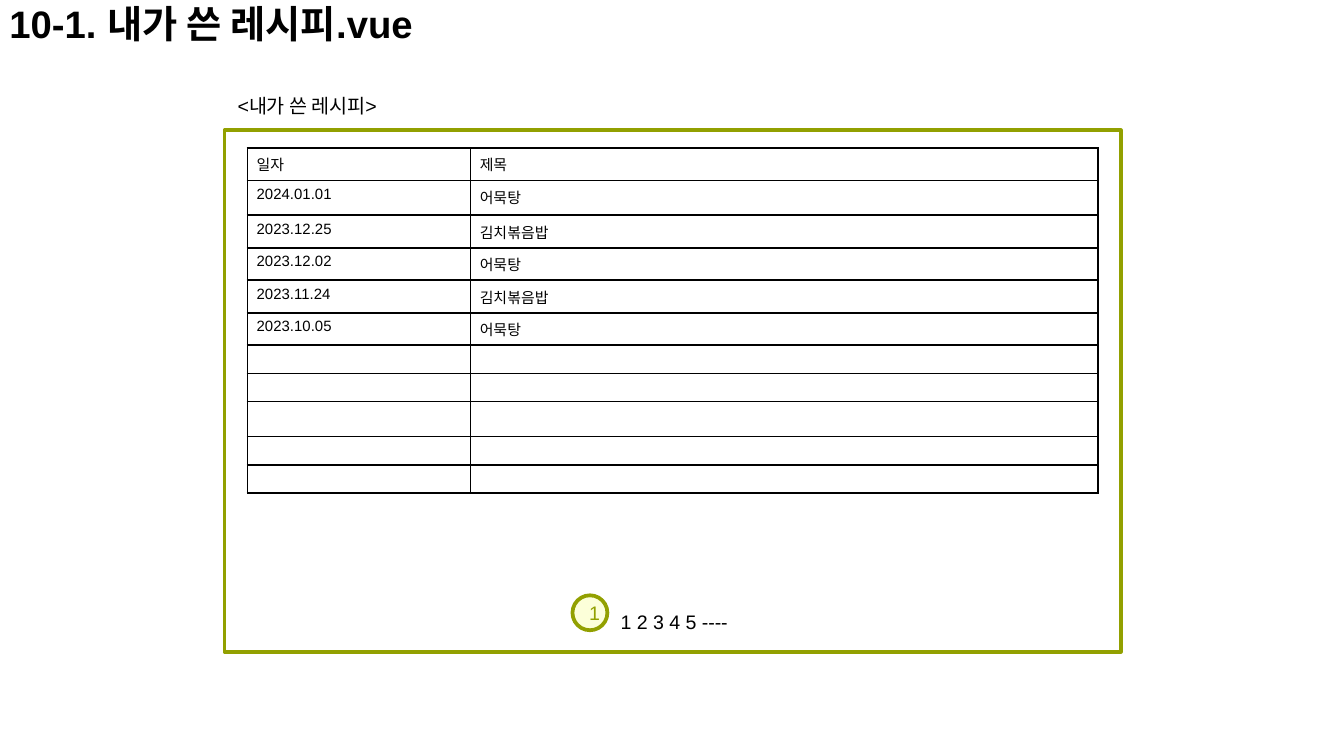
from dataclasses import dataclass

from lxml import etree
from pptx import Presentation
from pptx.dml.color import RGBColor
from pptx.enum.shapes import MSO_SHAPE
from pptx.enum.text import MSO_ANCHOR, PP_ALIGN
from pptx.oxml.ns import qn
from pptx.util import Pt

RECTANGLE = MSO_SHAPE.RECTANGLE
OVAL = MSO_SHAPE.OVAL
MIDDLE = MSO_ANCHOR.MIDDLE
CENTER = PP_ALIGN.CENTER

EMU_PER_PX = 4572  # 200 px to the inch


@dataclass(frozen=True)
class Theme:
    font: str = "Arial"
    ink: str = "000000"
    accent: str = "92A000"
    badge: str = "FCFFD9"
    title_size: float = 20.5
    label_size: float = 10.5
    cell_size: float = 8
    outline: float = 2
    grid_line: float = 1


THEME = Theme()

RECIPES = [
    ("일자", "제목"),
    ("2024.01.01", "어묵탕"),
    ("2023.12.25", "김치볶음밥"),
    ("2023.12.02", "어묵탕"),
    ("2023.11.24", "김치볶음밥"),
    ("2023.10.05", "어묵탕"),
]
ROW_COUNT = 11
ROW_HEIGHT = 42
TALL_ROW_HEIGHT = 52
TALL_ROWS = (1, 8)
COLUMN_WIDTHS = (332, 934)


def px(length):
    return round(length * EMU_PER_PX)


def emu_box(left, top, width, height):
    return px(left), px(top), px(width), px(height)


def style_paragraph(paragraph, size, color=THEME.ink, bold=False):
    font = paragraph.font
    font.name = THEME.font
    font.size = Pt(size)
    font.bold = bold
    font.color.rgb = RGBColor.from_string(color)


def set_margins(target, horizontal, vertical):
    target.margin_left = target.margin_right = px(horizontal)
    target.margin_top = target.margin_bottom = px(vertical)


def add_label(slide, box, text, size, bold=False, wrap=False):
    text_frame = slide.shapes.add_textbox(*emu_box(*box)).text_frame
    text_frame.word_wrap = wrap
    text_frame.text = text
    style_paragraph(text_frame.paragraphs[0], size, bold=bold)
    return text_frame


def add_outlined_shape(slide, kind, box):
    shape = slide.shapes.add_shape(kind, *emu_box(*box))
    shape.shadow.inherit = False
    shape.fill.background()
    shape.line.color.rgb = RGBColor.from_string(THEME.accent)
    shape.line.width = Pt(THEME.outline)
    return shape


def add_cell_borders(cell):
    properties = cell._tc.get_or_add_tcPr()
    for position, side in enumerate(("a:lnL", "a:lnR", "a:lnT", "a:lnB")):
        line = etree.Element(qn(side), w=str(Pt(THEME.grid_line)))
        fill = etree.SubElement(line, qn("a:solidFill"))
        etree.SubElement(fill, qn("a:srgbClr"), val=THEME.ink)
        properties.insert(position, line)


def fill_cell(cell, text):
    set_margins(cell, 14, 8)
    cell.fill.background()
    add_cell_borders(cell)
    cell.text = text
    paragraph = cell.text_frame.paragraphs[0]
    style_paragraph(paragraph, THEME.cell_size)
    if not text:  # an empty cell takes its line height from the end mark
        etree.SubElement(paragraph._p, qn("a:endParaRPr"),
                         sz=str(round(THEME.cell_size * 100)))


def add_recipe_table(slide, left, top):
    heights = [TALL_ROW_HEIGHT if row in TALL_ROWS else ROW_HEIGHT
               for row in range(ROW_COUNT)]
    box = (left, top, sum(COLUMN_WIDTHS), sum(heights))
    table = slide.shapes.add_table(
        ROW_COUNT, len(COLUMN_WIDTHS), *emu_box(*box)).table
    table.first_row = table.horz_banding = False
    for column, width in zip(table.columns, COLUMN_WIDTHS):
        column.width = px(width)
    blank_rows = [("", "")] * (ROW_COUNT - len(RECIPES))
    for row, height, texts in zip(table.rows, heights, RECIPES + blank_rows):
        row.height = px(height)
        for cell, text in zip(row.cells, texts):
            fill_cell(cell, text)


def add_pager(slide, left, top):
    """Page numbers with the numbered callout to their left."""
    add_label(slide, (left + 52, top + 12, 202, 56), "1 2 3 4 5 ----",
              THEME.label_size)
    badge = add_outlined_shape(slide, OVAL, (left, top, 52, 52))
    badge.fill.solid()
    badge.fill.fore_color.rgb = RGBColor.from_string(THEME.badge)
    text_frame = badge.text_frame
    text_frame.text = "1"
    text_frame.vertical_anchor = MIDDLE
    paragraph = text_frame.paragraphs[0]
    paragraph.alignment = CENTER
    style_paragraph(paragraph, THEME.label_size, THEME.accent)


def add_recipe_panel(slide, left, top, width, height):
    add_outlined_shape(slide, RECTANGLE, (left, top, width, height))
    add_recipe_table(slide, left + 34, top + 26)
    add_label(slide, (left, top - 64, 268, 56), "<내가 쓴 레시피>",
              THEME.label_size)
    add_pager(slide, left + 518, top + 692)


def add_title(slide, left, top, width, height):
    text_frame = add_label(slide, (left, top, width, height),
                           "10-1. 내가 쓴 레시피.vue",
                           THEME.title_size, bold=True, wrap=True)
    set_margins(text_frame, 14, 14)
    text_frame.paragraphs[0].line_spacing = 0.8


def main():
    presentation = Presentation()
    presentation.slide_width = px(2000)
    presentation.slide_height = px(1125)
    slide = presentation.slides.add_slide(presentation.slide_layouts[6])
    add_recipe_panel(slide, 334, 194, 1334, 776)
    add_title(slide, 0, 0, 1262, 88)
    presentation.save("out.pptx")


if __name__ == "__main__":
    main()
